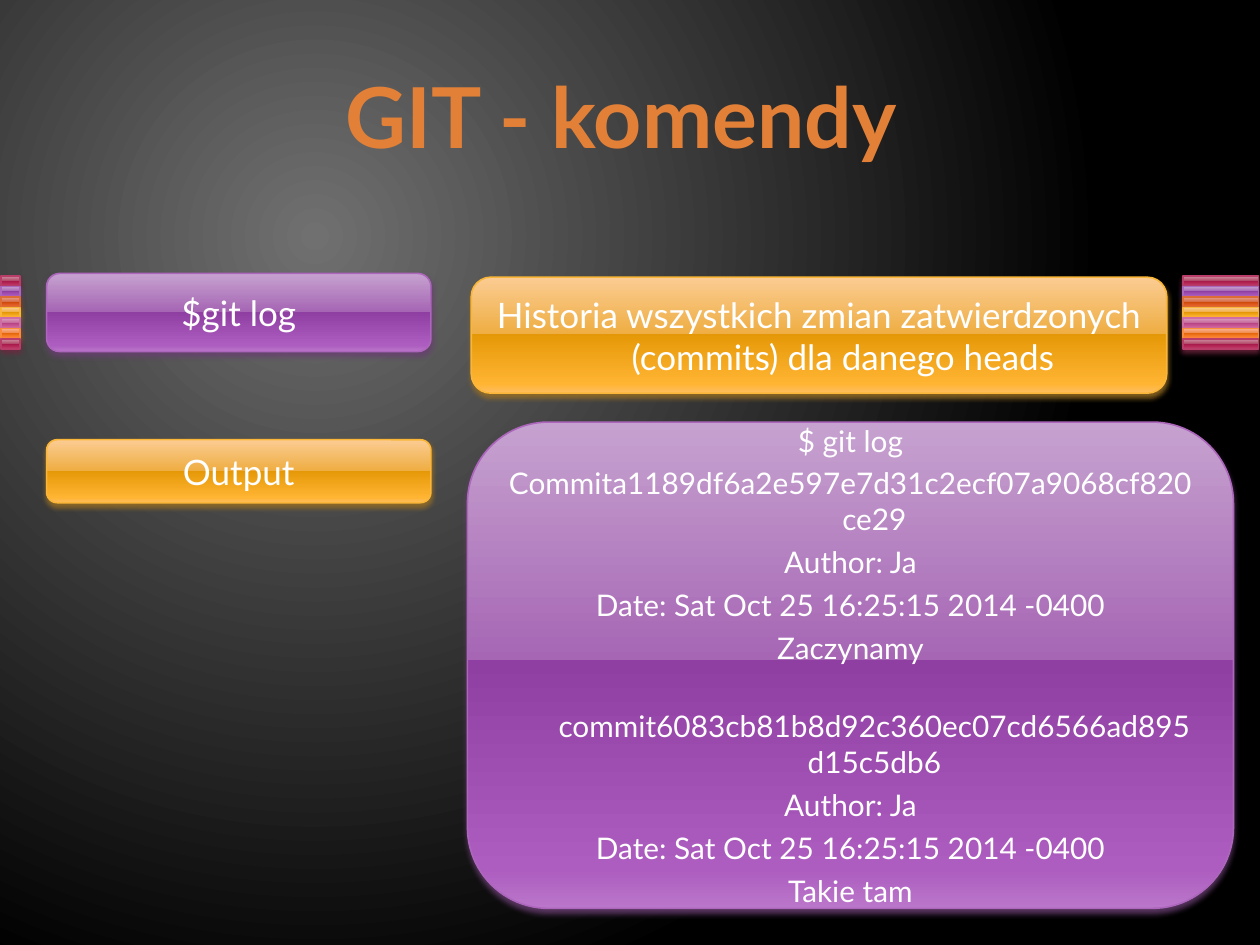
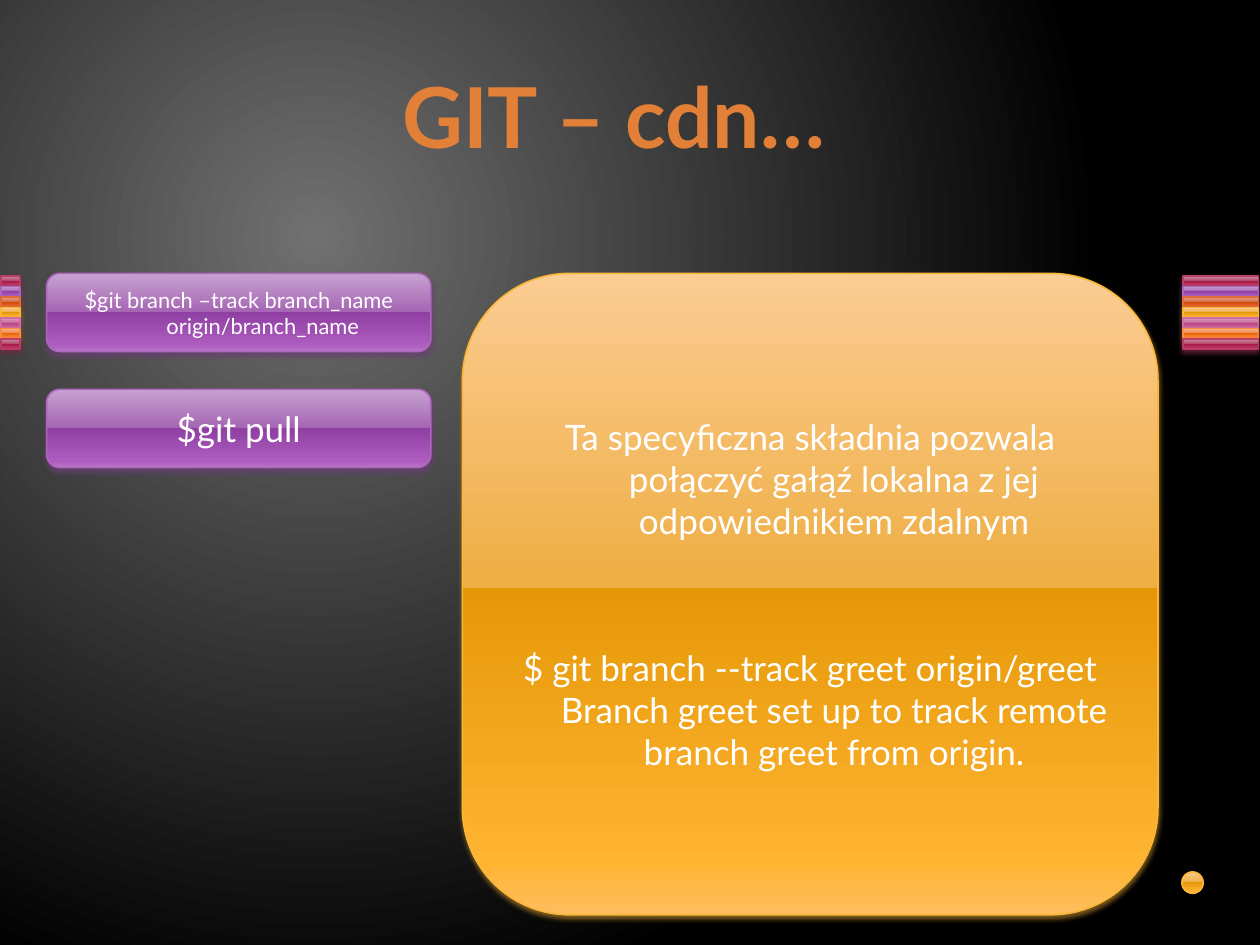
from dataclasses import dataclass, field
from lxml import etree
from pptx import Presentation
from pptx import util as u
from pptx.dml.color import RGBColor
from pptx.enum import shapes, text
from pptx.oxml.ns import qn


@dataclass
class Theme:
    font: str = "Lato"
    white: str = "FFFFFF"
    title: str = "E38037"
    head: float = 48
    body: float = 20
    code: float = 17
    small: float = 12.5
    edge: float = 0.9
    indent: float = 0.38
    back: tuple = ("707070", "000000")
    stops: tuple = (0, 49, 49, 92, 100)
    tints: dict = field(default_factory=lambda: {
        "red": ("B83D68", "722640", "CE94A2 B34869 A61749 C13764 CA5D7C"),
        "violet": ("AC66BB", "6A3F73", "C6A2D0 A666B4 8F3EA1 AD5DBF BA76CA"),
        "rust": ("DE6C36", "894321", "E7A493 D66B42 CC4809 E9642C F07B55"),
        "gold": ("F9B639", "9A7023", "FBCC93 EFAE43 E59807 FFB432 FFBE5F"),
        "pink": ("CF6DA4", "804365", "DDA4C1 C66B9D B34181 D361A0 DC79AE"),
        "orange": ("FA8D3D", "9A5726", "FBB494 F08745 E5670B FF8736 FF9961"),
    })


T = Theme()
WIDE, HIGH = 10, 7.5
LEFT, TOP, COL, ROW = 0.37, 2.17, 3.05, 0.62
PANEL = 5.52
BANDS = ("red", "violet", "rust", "gold", "pink", "orange", "red")
BAND_TOP, STEP, THICK = 2.19, 0.5 / 6, 0.08
SIDES = ((0.01, 0.15), (9.39, 0.6))
DOT = (9.38, 6.92, 0.17, 0.17)

LOG = [
    "$ git log",
    "Commita1189df6a2e597e7d31c2ecf07a9068cf820ce29",
    "Author: Ja",
    "Date: Sat Oct 25 16:25:15 2014 -0400",
    "Zaczynamy",
    " commit6083cb81b8d92c360ec07cd6566ad895d15c5db6",
    "Author: Ja",
    "Date: Sat Oct 25 16:25:15 2014 -0400",
    "Takie tam",
]
TRACK = [
    "Ta specyficzna składnia pozwala połączyć gałąź lokalna z jej odpowiednikiem zdalnym",
    "$ git branch --track greet origin/greet Branch greet set up to track remote "
    "branch greet from origin.",
]
SLIDES = [
    dict(title="GIT - komendy", left=0.43, dot=False, boxes=[
        (["$git log"], "violet", (LEFT, TOP, COL, ROW), {}),
        (["Output"], "gold", (LEFT, 3.49, COL, 0.5), {}),
        (["Historia wszystkich zmian zatwierdzonych (commits) dla danego heads"],
         "gold", (3.74, 2.2, PANEL, 0.92), {}),
        (LOG, "violet", (3.71, 3.35, 6.08, 3.86), dict(size=T.code)),
    ]),
    dict(title="GIT – cdn…", left=LEFT, dot=True, boxes=[
        (["$git branch –track branch_name origin/branch_name"],
         "violet", (LEFT, TOP, COL, ROW), dict(size=T.small)),
        (TRACK, "gold", (3.67, TOP, PANEL, 5.09), dict(gap=60)),
        (["$git pull"], "violet", (LEFT, 3.09, COL, ROW), {}),
    ]),
]


def inches(box):
    return [u.Inches(n) for n in box]


def node(root, tag, **attrs):
    return etree.SubElement(root, qn(tag), {k: str(v) for k, v in attrs.items()})


def blend(fill, root, stops):
    fill.gradient()
    grad = next(root.iter(qn("a:gradFill")))
    for kid in list(grad):
        grad.remove(kid)
    row = node(grad, "a:gsLst")
    for pos, tint in stops:
        node(node(row, "a:gs", pos=pos * 1000), "a:srgbClr", val=tint)
    return grad


def write(frame, lines, size=T.body, tint=T.white, bold=False, indent=T.indent, gap=None):
    frame.word_wrap = True
    frame.auto_size = text.MSO_AUTO_SIZE.NONE
    frame.vertical_anchor = text.MSO_ANCHOR.MIDDLE
    for i, line in enumerate(lines):
        par = frame.add_paragraph() if i else frame.paragraphs[0]
        par.alignment = text.PP_ALIGN.CENTER
        par.space_before = u.Pt(gap if gap and i else round(size * 0.24, 1))
        props = par._p.get_or_add_pPr()
        props.set("marL", str(u.Inches(indent)))
        props.set("indent", str(-u.Inches(indent)))
        run = par.add_run()
        run.text = line
        run.font.name, run.font.size, run.font.bold = T.font, u.Pt(size), bold
        run.font.color.rgb = RGBColor.from_string(tint)


def gloss(pool, kind, box, name, shade=True):
    edge, dark, tones = T.tints[name]
    shape = pool.add_shape(kind, *inches(box))
    props = shape._element.spPr
    grad = blend(shape.fill, props, zip(T.stops, tones.split()))
    node(grad, "a:lin", ang=90 * 60000, scaled=0)
    shape.line.color.rgb = RGBColor.from_string(edge)
    shape.line.width = u.Pt(T.edge)
    shape.shadow.inherit = False
    if shade:
        cast = node(props.find(qn("a:effectLst")), "a:outerShdw", blurRad=u.Pt(3.1),
                    dist=u.Pt(2), dir=90 * 60000, rotWithShape=0)
        node(node(cast, "a:srgbClr", val=dark), "a:alpha", val=83000)
    return shape


def frame_up(slide, dot):
    for left, width in SIDES:
        group = slide.shapes.add_group_shape()
        for i, name in enumerate(BANDS):
            box = (left, BAND_TOP + i * STEP, width, THICK)
            gloss(group.shapes, shapes.MSO_SHAPE.RECTANGLE, box, name)
    if dot:
        gloss(slide.shapes, shapes.MSO_SHAPE.OVAL, DOT, "gold", shade=False)


def backdrop(master):
    grad = blend(master.background.fill, master._element, zip((0, 100), T.back))
    way = node(grad, "a:path", path="circle")
    node(way, "a:fillToRect", l=50000, t=50000, r=100000, b=100000)


def main():
    deck = Presentation()
    deck.slide_width, deck.slide_height = inches((WIDE, HIGH))
    backdrop(deck.slide_master)
    for page in SLIDES:
        slide = deck.slides.add_slide(deck.slide_layouts[5])
        frame_up(slide, page["dot"])
        head = slide.shapes.title
        head.left, head.top, head.width, head.height = inches((page["left"], 0.29, 9, 1.25))
        write(head.text_frame, [page["title"]], size=T.head, tint=T.title, bold=True)
        for lines, name, box, style in page["boxes"]:
            shape = gloss(slide.shapes, shapes.MSO_SHAPE.ROUNDED_RECTANGLE, box, name)
            write(shape.text_frame, lines, **style)
    deck.save("out.pptx")


if __name__ == "__main__":
    main()
